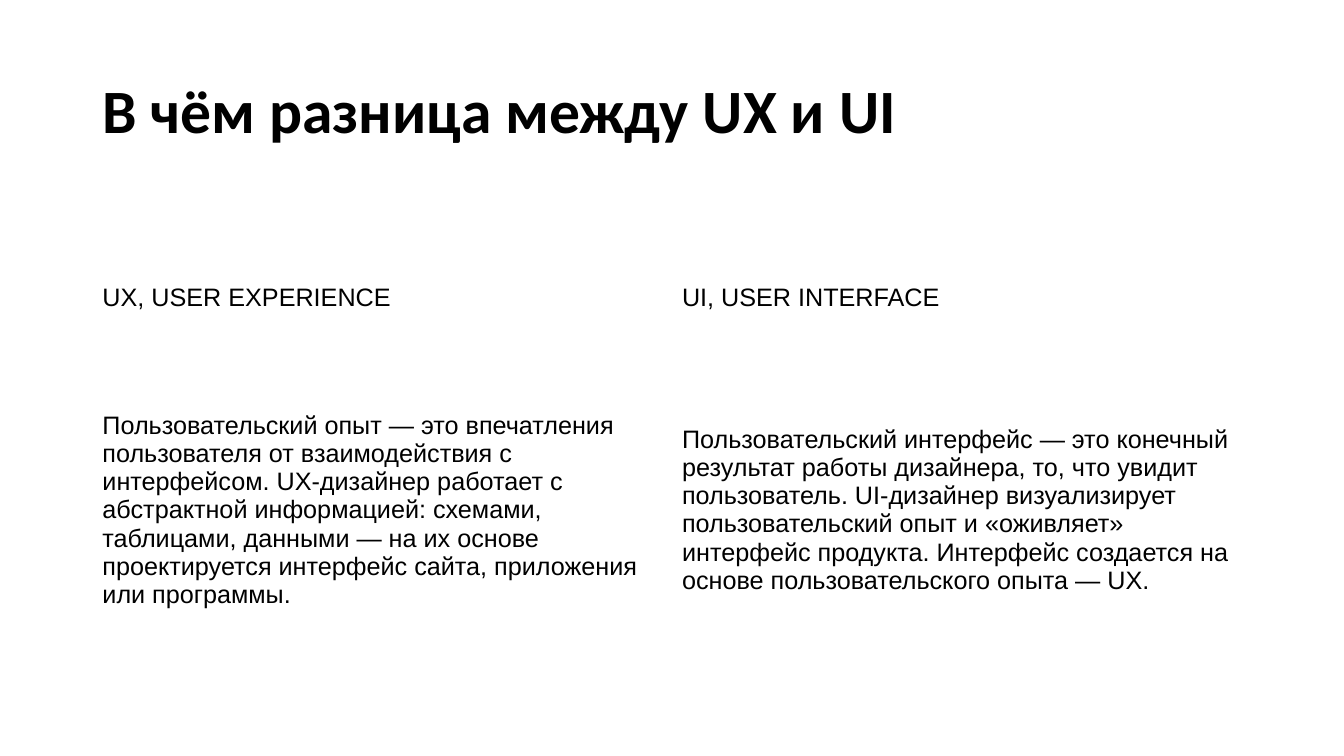
from dataclasses import dataclass

from pptx import Presentation
from pptx.dml.color import RGBColor
from pptx.enum.text import MSO_VERTICAL_ANCHOR as Anchor
from pptx.slide import Slide
from pptx.text.text import TextFrame
from pptx.util import Pt

BLACK = RGBColor(0x00, 0x00, 0x00)
LEFT, WIDTH = 66, 828
TITLE_TOP, TITLE_HEIGHT = 28.75, 104.4
TABLE_TOP = 189.4
ROW_HEIGHTS = (46.8, 256.3)


@dataclass(frozen=True)
class Topic:
    heading: str
    description: str


TITLE = "В чём разница между UX и UI"
TOPICS = (
    Topic(
        "UX, USER EXPERIENCE",
        "Пользовательский опыт — это впечатления пользователя "
        "от взаимодействия с интерфейсом. UX-дизайнер работает "
        "с абстрактной информацией: схемами, таблицами, данными — "
        "на их основе проектируется интерфейс сайта, приложения "
        "или программы.",
    ),
    Topic(
        "UI, USER INTERFACE",
        "Пользовательский интерфейс — это конечный результат работы "
        "дизайнера, то, что увидит пользователь. UI-дизайнер "
        "визуализирует пользовательский опыт и «оживляет» интерфейс "
        "продукта. Интерфейс создается на основе пользовательского "
        "опыта — UX.",
    ),
)


def write_text(
    frame: TextFrame,
    text: str,
    *,
    font: str = "Arial",
    size: float = 18,
    bold: bool = False,
    spacing: float = 1.0,
) -> None:
    frame.word_wrap = True
    para = frame.paragraphs[0]
    para.line_spacing = spacing
    span = para.add_run()
    span.text = text
    span.font.name = font
    span.font.size = Pt(size)
    span.font.bold = bold
    span.font.color.rgb = BLACK


def add_title(page: Slide) -> None:
    box = page.shapes.add_textbox(
        Pt(LEFT), Pt(TITLE_TOP), Pt(WIDTH), Pt(TITLE_HEIGHT)
    )
    box.text_frame.vertical_anchor = Anchor.MIDDLE
    write_text(
        box.text_frame, TITLE, font="Calibri", size=44, bold=True, spacing=0.9
    )


def add_comparison(page: Slide) -> None:
    table = page.shapes.add_table(
        len(ROW_HEIGHTS), len(TOPICS),
        Pt(LEFT), Pt(TABLE_TOP), Pt(WIDTH), Pt(sum(ROW_HEIGHTS)),
    ).table
    table.first_row = False
    table.horz_banding = False
    for row, height in zip(table.rows, ROW_HEIGHTS):
        row.height = Pt(height)
    for column, topic in enumerate(TOPICS):
        for line, text in enumerate((topic.heading, topic.description)):
            cell = table.cell(line, column)
            cell.fill.background()
            cell.vertical_anchor = Anchor.MIDDLE
            write_text(cell.text_frame, text)


def main() -> None:
    deck = Presentation()
    deck.slide_width, deck.slide_height = Pt(960), Pt(540)
    page = deck.slides.add_slide(deck.slide_layouts[6])
    add_title(page)
    add_comparison(page)
    deck.save("out.pptx")


if __name__ == "__main__":
    main()
